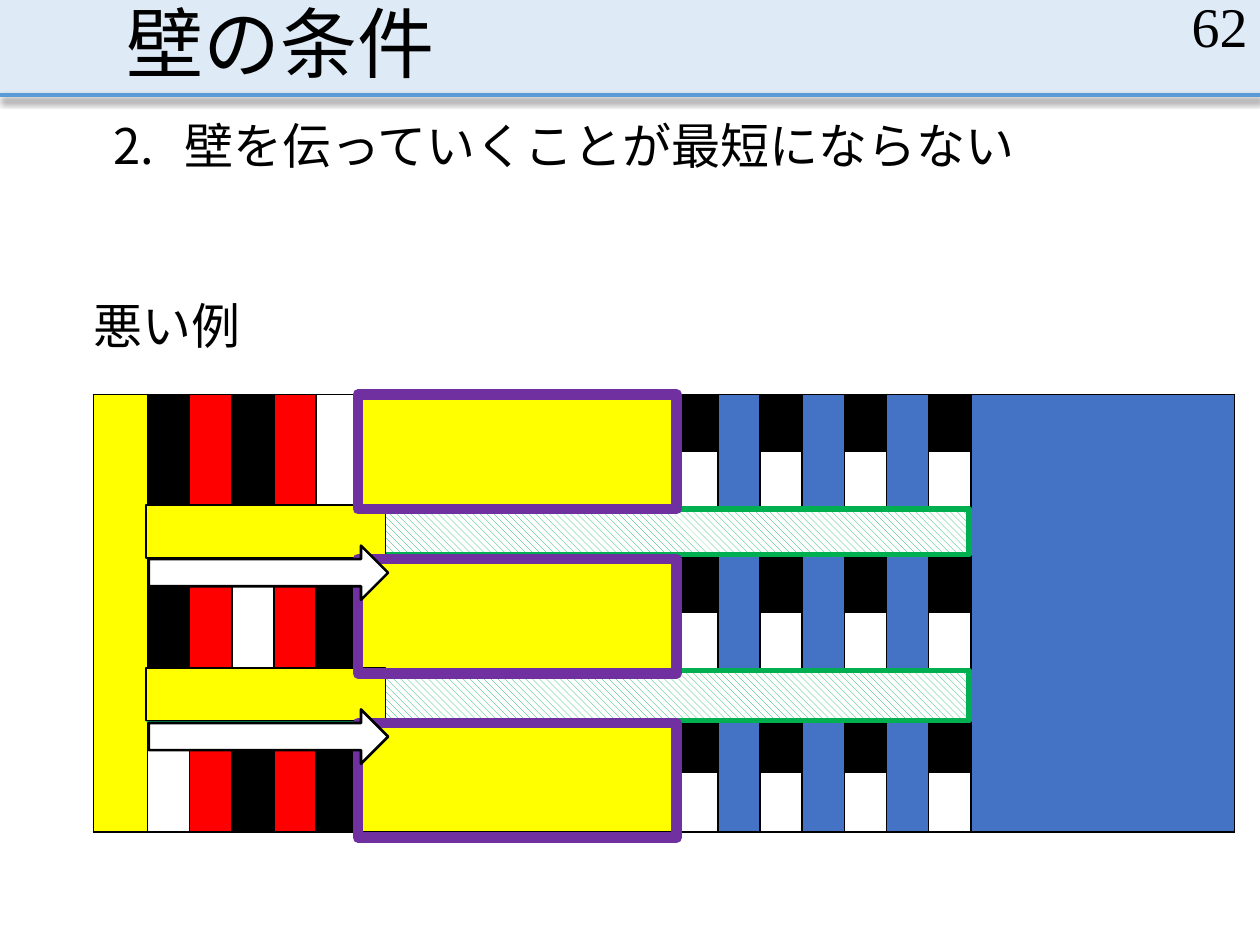
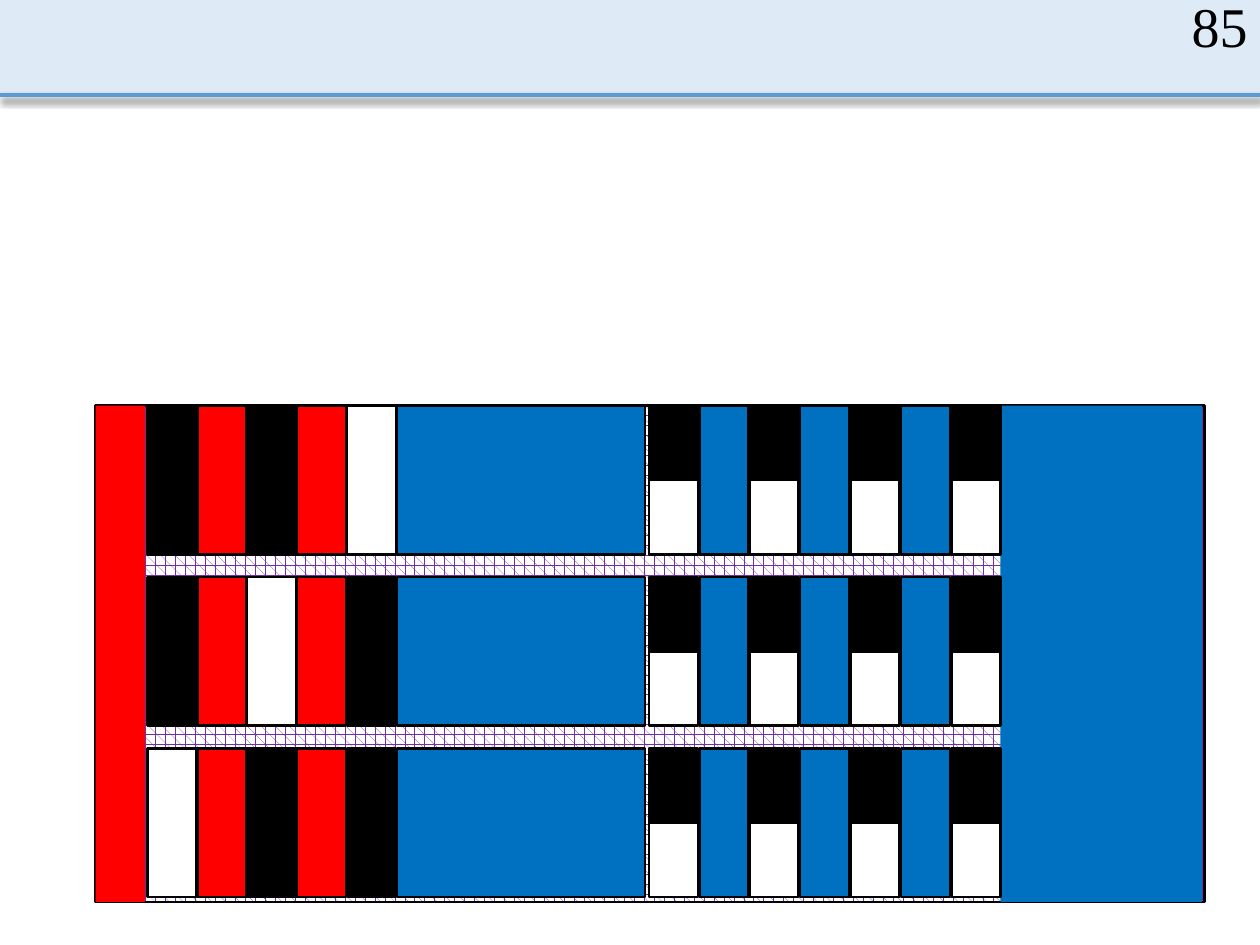
"""Builds two slides on wall conditions, with a shared title band and page number."""
from lxml import etree
from pptx import Presentation
from pptx.dml.color import RGBColor
from pptx.enum.dml import MSO_PATTERN
from pptx.enum.shapes import MSO_CONNECTOR, MSO_SHAPE
from pptx.enum.text import MSO_ANCHOR, MSO_AUTO_SIZE, PP_ALIGN
from pptx.oxml import parse_xml
from pptx.oxml.ns import qn
from pptx.util import Pt

RECT, ARROW = MSO_SHAPE.RECTANGLE, MSO_SHAPE.RIGHT_ARROW
STRAIGHT = MSO_CONNECTOR.STRAIGHT
HATCH, PLAID = MSO_PATTERN.WIDE_DOWNWARD_DIAGONAL, MSO_PATTERN.PLAID
MIDDLE, BOTTOM = MSO_ANCHOR.MIDDLE, MSO_ANCHOR.BOTTOM
LEFT, RIGHT = PP_ALIGN.LEFT, PP_ALIGN.RIGHT
FIXED = MSO_AUTO_SIZE.NONE

BLACK = RGBColor(0x00, 0x00, 0x00)
WHITE = RGBColor(0xFF, 0xFF, 0xFF)
RED = RGBColor(0xFF, 0x00, 0x00)
YELLOW = RGBColor(0xFF, 0xFF, 0x00)
GREEN = RGBColor(0x00, 0xB0, 0x50)
PURPLE = RGBColor(0x70, 0x30, 0xA0)
BLUE = RGBColor(0x00, 0x70, 0xC0)
STEEL = RGBColor(0x44, 0x72, 0xC4)
PALE = RGBColor(0xDE, 0xEB, 0xF7)
SKY = RGBColor(0x5B, 0x9B, 0xD5)
FONT = "Times New Roman"
DRAW = "http://schemas.openxmlformats.org/drawingml/2006/main"
SHADOW = (
    f'<a:effectLst xmlns:a="{DRAW}"><a:outerShdw blurRad="50800" dist="31750" dir="5400000">'
    '<a:srgbClr val="000000"><a:alpha val="47000"/></a:srgbClr></a:outerShdw></a:effectLst>'
)
STRIPES = [
    [BLACK, RED, BLACK, RED, WHITE],
    [BLACK, RED, WHITE, RED, BLACK],
    [WHITE, RED, BLACK, RED, BLACK],
]


def block(slide, x, y, w, h, fill=None, line=None, width=1.5, kind=RECT, weave=None):
    shape = slide.shapes.add_shape(kind, Pt(x), Pt(y), Pt(w), Pt(h))
    shape.shadow.inherit = False
    if weave is not None:
        shape.fill.patterned()
        shape.fill.pattern = weave
        shape.fill.fore_color.rgb = fill
        shape.fill.back_color.rgb = WHITE
    elif fill is not None:
        shape.fill.solid()
        shape.fill.fore_color.rgb = fill
    else:
        shape.fill.background()
    if line is not None:
        shape.line.color.rgb = line
        shape.line.width = Pt(width)
    else:
        shape.line.fill.background()
    return shape


def write(shape, words, size, place, align=LEFT, side=7.2, space=None):
    shape.left, shape.top, shape.width, shape.height = [Pt(v) for v in place]
    frame = shape.text_frame
    frame.word_wrap = True
    frame.auto_size = FIXED
    frame.margin_left = frame.margin_right = Pt(side)
    para = frame.paragraphs[0]
    para.alignment = align
    para.space_before = Pt(0)
    if space:
        para.line_spacing = space
    run = para.add_run()
    run.text = words
    run.font.size = Pt(size)
    run.font.name = FONT
    run.font.color.rgb = BLACK
    return frame


prs = Presentation()
prs.slide_width, prs.slide_height = Pt(720), Pt(540)
bad = prs.slides.add_slide(prs.slide_layouts[1])
plan = prs.slides.add_slide(prs.slide_layouts[6])

for slide, page in ((bad, "62"), (plan, "85")):
    band = block(slide, 0, 0, 720, 54.5, PALE)
    rule = slide.shapes.add_connector(STRAIGHT, Pt(0), Pt(54.5), Pt(720), Pt(54.5))
    rule.line.color.rgb = SKY
    rule.line.width = Pt(2.25)
    rule.element.spPr.append(parse_xml(SHADOW))
    slide.shapes.element.insert(2, band.element)
    slide.shapes.element.insert(3, rule.element)
    place = (558, 0, 162, 29)
    note = slide.shapes.add_textbox(*[Pt(v) for v in place])
    write(note, page, 32, place, RIGHT).vertical_anchor = MIDDLE

frame = write(bad.shapes.title, "壁の条件", 44, (65, 0, 594, 54.5), space=0.9)
frame.vertical_anchor = BOTTOM

frame = write(bad.placeholders[1], "壁を伝っていくことが最短にならない", 28,
              (65, 66, 594, 40), side=0, space=0.9)
props = frame.paragraphs[0]._p.get_or_add_pPr()
props.set("marL", str(Pt(40.5)))
props.set("indent", str(Pt(-40.5)))
etree.SubElement(props, qn("a:buFont"), typeface="+mj-lt")
etree.SubElement(props, qn("a:buAutoNum"), type="arabicPeriod", startAt="2")

widths = [31] + [24.1] * 5 + [181.4] + [24.1] * 7 + [150.5]
heights = [32.2, 32.2, 28.2, 32.2, 32.2, 25.2, 34, 34]
grid = bad.shapes.add_table(8, 15, Pt(53.3), Pt(225.4), Pt(sum(widths)), Pt(sum(heights))).table
grid.first_row = grid.horz_banding = False
for col, width in zip(grid.columns, widths):
    col.width = Pt(width)
for row, height in zip(grid.rows, heights):
    row.height = Pt(height)

tints = {}
for r in range(8):
    tints[r, 0] = YELLOW
    tints[r, 14] = STEEL
for top, hues in zip((0, 3, 6), STRIPES):
    for r in (top, top + 1):
        half = BLACK if r == top else WHITE
        line = hues + [YELLOW] + [half, STEEL] * 3 + [half]
        for c, tint in enumerate(line, 1):
            tints[r, c] = tint

for r in range(8):
    for c in range(15):
        cell = grid.cell(r, c)
        cell.margin_left = cell.margin_right = cell.margin_top = cell.margin_bottom = 0
        props = cell._tc.get_or_add_tcPr()
        for edge in ("lnL", "lnR", "lnT", "lnB"):
            side = etree.SubElement(props, qn(f"a:{edge}"), w=str(Pt(1)))
            paint = etree.SubElement(side, qn("a:solidFill"))
            etree.SubElement(paint, qn("a:srgbClr"), val=str(BLACK))
        cell.fill.solid()
        cell.fill.fore_color.rgb = tints.get((r, c), WHITE)

for c in (0, 14):
    grid.cell(0, c).merge(grid.cell(7, c))
for r in (2, 5):
    grid.cell(r, 1).merge(grid.cell(r, 13))
for top in (0, 3, 6):
    for c in (1, 2, 3, 4, 5, 6, 8, 10, 12):
        grid.cell(top, c).merge(grid.cell(top + 1, c))

for y, h in ((290.9, 25.9), (383, 28.8)):
    block(bad, 85, y, 468.7, h, GREEN, GREEN, 3, weave=HATCH)
for y in (288.7, 381.6):
    block(bad, 83.5, y, 136.8, 30.2, YELLOW, BLACK, 1)

place = (53.3, 169.2, 108.7, 40.3)
label = bad.shapes.add_textbox(*[Pt(v) for v in place])
write(label, "悪い例", 28, place, side=0, space=0.9)

for i in range(3):
    block(bad, 204.5, 225.4 + 93.9 * i, 182.2, 65.5, line=PURPLE, width=6)
for y in (311.8, 405.4):
    block(bad, 85, y, 136.8, 31, WHITE, BLACK, kind=ARROW)

block(plan, 54.7, 231.8, 633.6, 283.7, PURPLE, BLACK, weave=PLAID)
block(plan, 54.7, 231.8, 28.1, 283.7, RED)
block(plan, 571.7, 231.8, 115.2, 283.7, BLUE)
for i, hues in enumerate(STRIPES):
    y = 231.8 + 97.9 * i
    for j, hue in enumerate(hues):
        block(plan, 84.2 + 28.5 * j, y, 28.1, 85, hue, BLACK)
    block(plan, 226.8, y, 141.8, 85, BLUE, BLACK)
    for j in range(7):
        x = 370.8 + 28.8 * j
        if j % 2:
            block(plan, x, y, 28.1, 85, BLUE, BLACK)
        else:
            block(plan, x, y, 28.1, 42.5, BLACK, BLACK)
            block(plan, x, y + 42.5, 28.1, 42.5, WHITE, BLACK)

prs.save("out.pptx")
